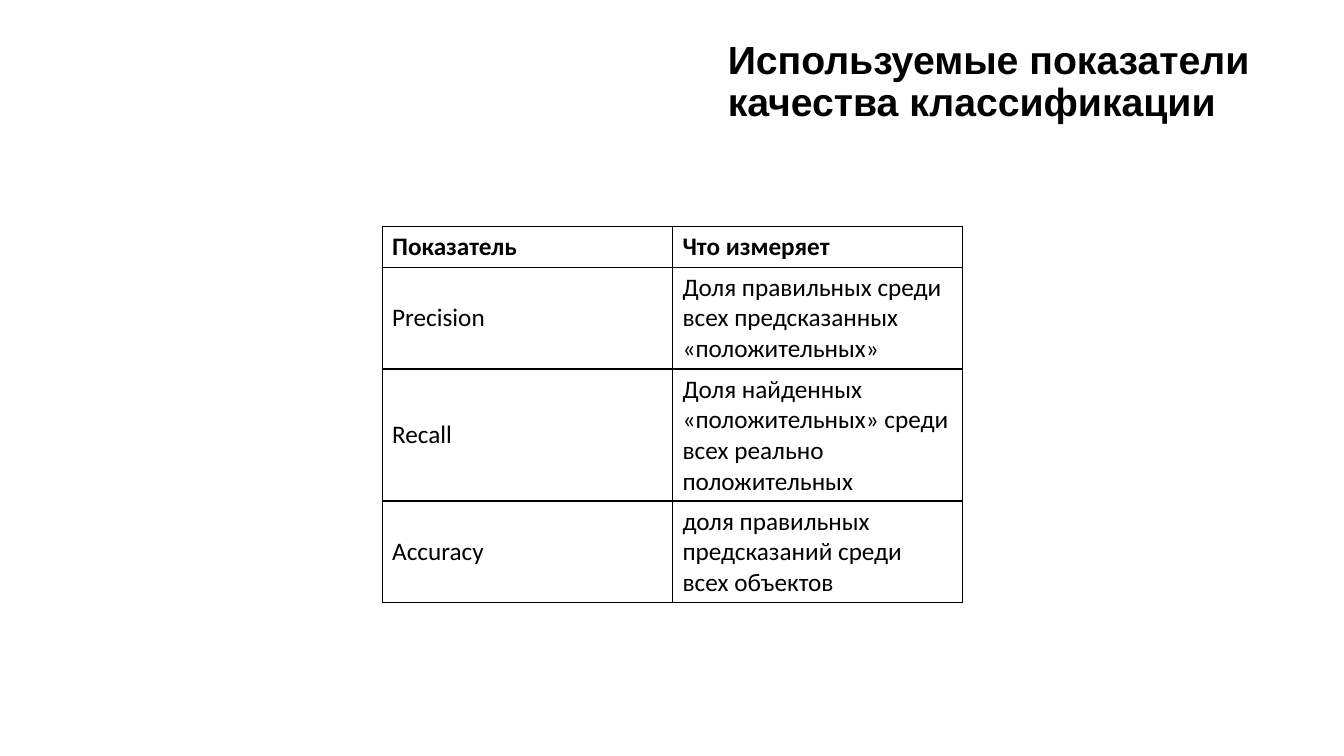
from lxml import etree
from pptx import Presentation, util as u
from pptx.dml.color import RGBColor
from pptx.enum import text
from pptx.oxml import ns

INK = "000000"
TITLE = "Используемые показатели качества классификации"
METRICS = [
    ("Показатель", "Что измеряет"),
    ("Precision", "Доля правильных среди всех предсказанных «положительных»"),
    ("Recall", "Доля найденных «положительных» среди всех реально положительных"),
    ("Accuracy", "доля правильных предсказаний среди всех объектов"),
]
ROW_HEIGHTS = [0.4, 1.01, 1.31, 1.01]
COLUMN_WIDTH = 2.88


def color(value):
    """Turn a hex string into a colour."""
    return RGBColor.from_string(value)


def write(frame, words, **font):
    """Put one formatted paragraph into a text frame."""
    para = frame.paragraphs[0]
    span = para.add_run()
    span.text = words
    span.font.color.rgb = color(INK)
    for name, value in font.items():
        setattr(span.font, name, value)
    return para


def add_title(page):
    """Add the bold two-line heading."""
    box = page.shapes.add_textbox(*map(u.Inches, (7.12, 0.27, 5.62, 1.1)))
    frame = box.text_frame
    frame.word_wrap = True
    frame.vertical_anchor = text.MSO_ANCHOR.MIDDLE
    para = write(frame, TITLE, name="Arial", size=u.Pt(28), bold=True)
    para.line_spacing = 0.9


def add_borders(cell, width):
    """Outline all four sides of a cell."""
    properties = cell._tc.get_or_add_tcPr()
    for side in ("a:lnL", "a:lnR", "a:lnT", "a:lnB"):
        line = etree.SubElement(properties, ns.qn(side), w=str(u.Pt(width)))
        fill = etree.SubElement(line, ns.qn("a:solidFill"))
        etree.SubElement(fill, ns.qn("a:srgbClr"), val=INK)


def add_metrics_table(page):
    """Add the table of classification metrics."""
    columns = len(METRICS[0])
    table = page.shapes.add_table(
        len(METRICS), columns, u.Inches(3.79), u.Inches(2.25),
        u.Inches(COLUMN_WIDTH * columns), u.Inches(sum(ROW_HEIGHTS))).table
    table.horz_banding = False
    for column in table.columns:
        column.width = u.Inches(COLUMN_WIDTH)
    for index, (row, height) in enumerate(zip(table.rows, ROW_HEIGHTS)):
        row.height = u.Inches(height)
        for cell, words in zip(row.cells, METRICS[index]):
            add_borders(cell, 1)
            cell.fill.background()
            cell.vertical_anchor = text.MSO_ANCHOR.MIDDLE
            write(cell.text_frame, words, name="Calibri", size=u.Pt(18),
                  bold=index == 0)


def main():
    """Build and save the slide."""
    deck = Presentation()
    deck.slide_width, deck.slide_height = u.Inches(13.33), u.Inches(7.5)
    page = deck.slides.add_slide(deck.slide_layouts[6])
    add_title(page)
    add_metrics_table(page)
    deck.save("out.pptx")


if __name__ == "__main__":
    main()
